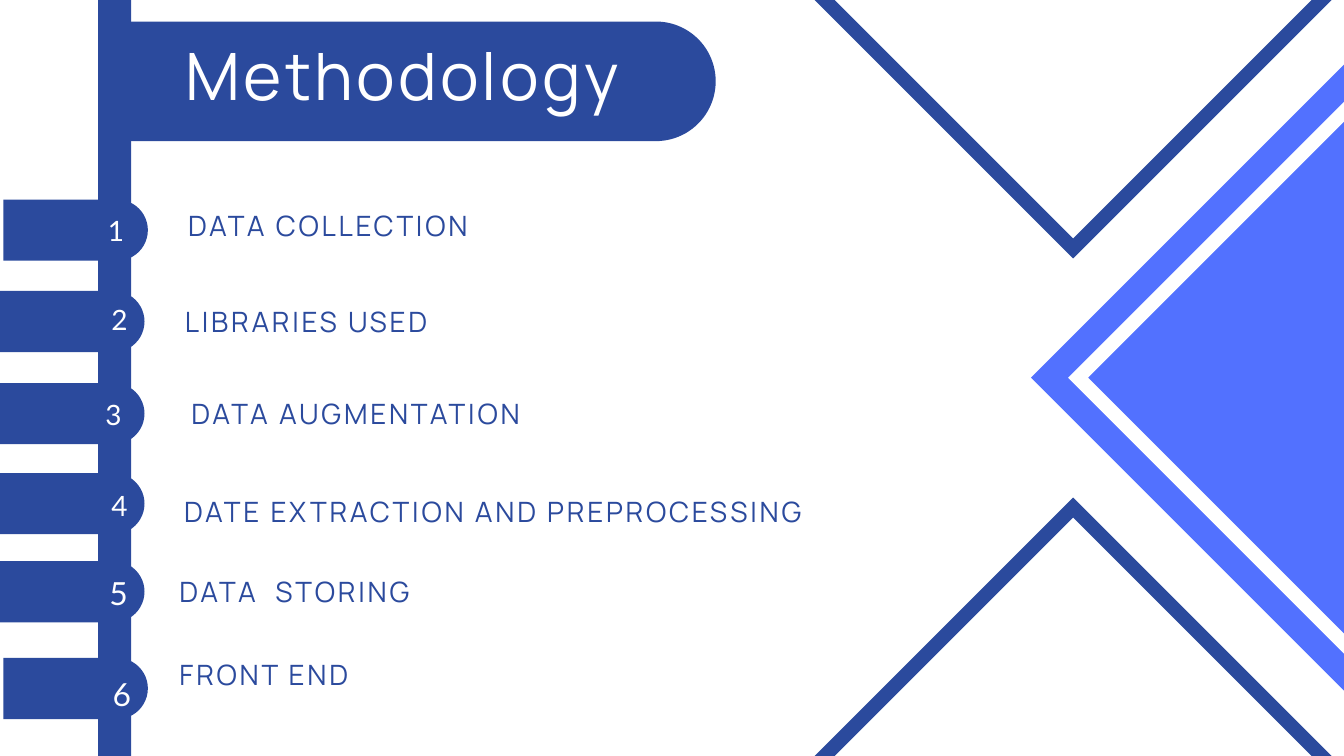
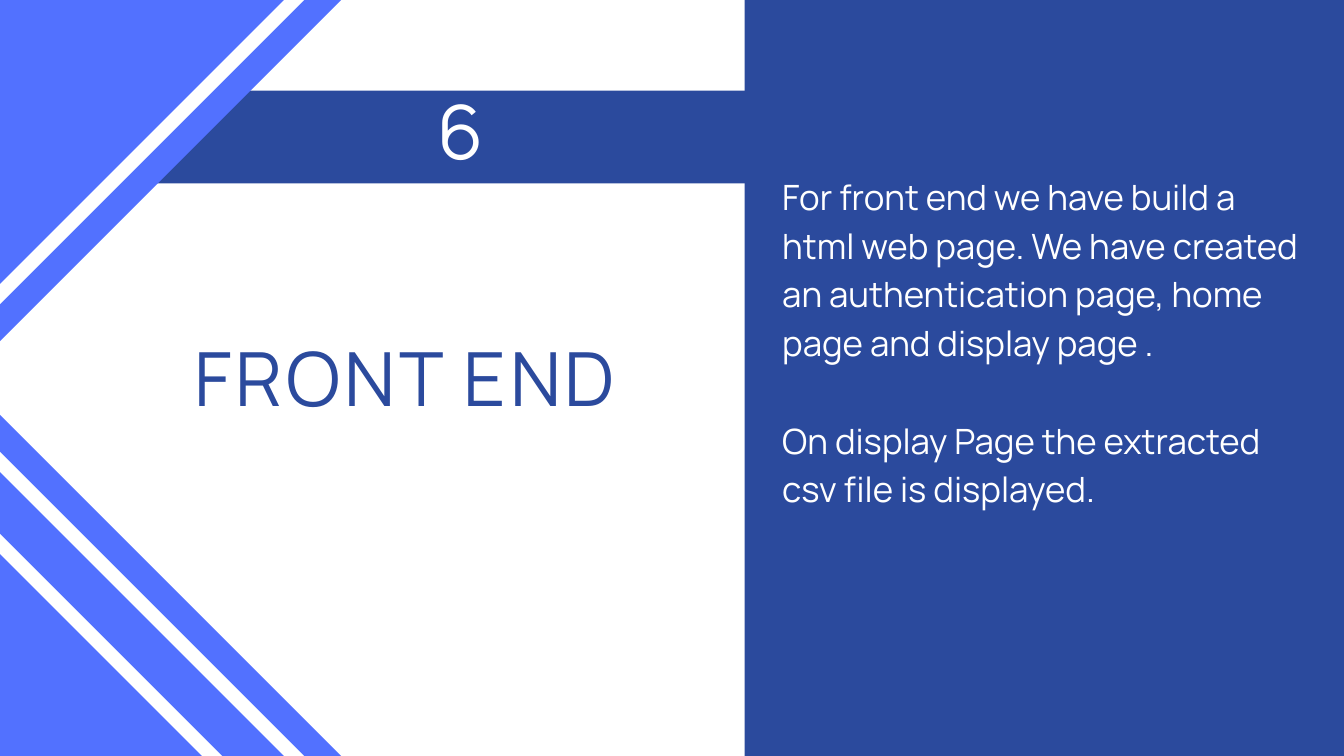
from pptx import Presentation
from pptx.dml.color import RGBColor
from pptx.enum.shapes import MSO_SHAPE
from pptx.enum.text import MSO_ANCHOR, MSO_AUTO_SIZE, PP_ALIGN
from pptx.util import Inches, Pt

NAVY = RGBColor(0x2B, 0x4A, 0x9D)
BLUE = RGBColor(0x52, 0x71, 0xFF)
WHITE = RGBColor(0xFF, 0xFF, 0xFF)
RECT, FRAME = MSO_SHAPE.RECTANGLE, MSO_SHAPE.FRAME
ROUND = MSO_SHAPE.ROUND_2_SAME_RECTANGLE
LEFT, CENTER = PP_ALIGN.LEFT, PP_ALIGN.CENTER
TOP, NO_FIT = MSO_ANCHOR.TOP, MSO_AUTO_SIZE.NONE
TITLE_ONLY = 5
BIG, SMALL = 7.18, 6.4  # sides of a blue diamond and of its white frame
BAND = 0.21             # thickness of every frame


def draw(slide, kind, x, y, w, h, fill, turn=0, adjust=()):
    """Add a plain shape; x, y, w, h are taken before it is turned."""
    shape = slide.shapes.add_shape(kind, Inches(x), Inches(y), Inches(w), Inches(h))
    shape.shadow.inherit = False
    shape.fill.solid()
    shape.fill.fore_color.rgb = fill
    shape.line.fill.background()
    shape.rotation = turn
    for i, value in enumerate(adjust):
        shape.adjustments[i] = value


def write(slide, text, x, y, w, h, size, color=WHITE, font="Manrope",
          align=LEFT, lead=1.4, track=0.1, title=False):
    """Set text; lead and track are shares of the size."""
    if title:
        box = slide.shapes.title
        slide.shapes._spTree.append(box._element)  # bring to front
        box.left, box.top, box.width, box.height = map(Inches, (x, y, w, h))
    else:
        box = slide.shapes.add_textbox(Inches(x), Inches(y), Inches(w), Inches(h))
    frame = box.text_frame
    frame.text = text
    frame.word_wrap = True
    frame.auto_size = NO_FIT
    frame.vertical_anchor = TOP
    frame.margin_left = frame.margin_right = 0
    frame.margin_top = frame.margin_bottom = 0
    for i, para in enumerate(frame.paragraphs):
        para.alignment = align
        para.line_spacing = Pt(round(size * lead, 1))
        para.space_before = Pt(round(size * lead, 1) if i else 0)
        run = para.runs[0].font
        run.name = font
        run.size = Pt(size)
        run.color.rgb = color
        run._rPr.set("spc", str(round(size * track * 100)))


prs = Presentation()
prs.slide_width, prs.slide_height = Inches(20), Inches(11.25)
layout = prs.slide_layouts[TITLE_ONLY]

# Slide 1: Methodology
slide = prs.slides.add_slide(layout)
draw(slide, RECT, 1.46, 0, 0.49, 11.25, NAVY)
draw(slide, RECT, 16.83, 2.03, BIG, BIG, BLUE, turn=45)
draw(slide, FRAME, 17.22, 2.42, SMALL, SMALL, WHITE, turn=45, adjust=[BAND / SMALL])
for y in (8.8, -4.29):
    draw(slide, FRAME, 12.6, y, 6.74, 6.74, NAVY, turn=45, adjust=[BAND / 6.74])
draw(slide, ROUND, 5.41, -3.14, 1.78, 8.7, NAVY, turn=90, adjust=[0.5, 0])
write(slide, "Methodology", 2.15, 0.67, 7.68, 1.11, 70,
      align=CENTER, lead=1.05, track=0.05, title=True)

# tab left and top, number left, top and size, label, its left, top and width
steps = [
    (0.67, 2.35, 1.46, 3.1, 30, "DATA COLLECTION", 2.8, 3.02, 9.63),
    (0.62, 3.71, 1.51, 4.42, 30, "LIBRARIES USED", 2.75, 4.45, 3.81),
    (0.62, 5.08, 1.42, 5.83, 30, "DATA AUGMENTATION", 2.85, 5.81, 5.1),
    (0.62, 6.42, 1.51, 7.18, 30, "DATE EXTRACTION AND PREPROCESSING", 2.74, 7.28, 9.6),
    (0.62, 7.73, 1.46, 8.45, 34.1, "DATA  STORING", 2.67, 8.46, 9.76),
    (0.67, 9.17, 1.51, 9.95, 34.1, "FRONT END", 2.67, 9.7, 9.76),
]
for num, (tab_x, tab_y, num_x, num_y, size, label, x, y, w) in enumerate(steps, 1):
    draw(slide, ROUND, tab_x, tab_y, 0.91, 2.15, NAVY, turn=90, adjust=[0.5, 0])
    write(slide, str(num), num_x, num_y, size / 56, size / 53, size,
          font="Lato", align=CENTER)
    write(slide, label, x, y, w, 0.59, 30, color=NAVY)

# Slide 2: Front end
slide = prs.slides.add_slide(layout)
draw(slide, RECT, 1.67, 1.35, 10.9, 1.38, NAVY)
for mid in (0, 11.25, 12.47):
    for kind, side, fill in ((RECT, BIG, BLUE), (FRAME, SMALL, WHITE)):
        draw(slide, kind, -side / 2, mid - side / 2, side, side, fill, turn=45,
             adjust=[BAND / side] if kind == FRAME else [])
draw(slide, RECT, 11.08, 0, 8.92, 11.25, NAVY)
write(slide, "FRONT END", 0.98, 5.11, 10.1, 1.3, 80, color=NAVY,
      align=CENTER, lead=1.05, track=0.05, title=True)
write(slide, "6", 5.47, 1.43, 2.77, 1.3, 80, align=CENTER, lead=1.05, track=0.05)
write(slide, "For front end we have build a html web page. We have created an "
      "authentication page, home page and display page .\n"
      "On display Page the extracted csv file is displayed.",
      11.64, 2.51, 7.8, 5.76, 37.3, track=0)

prs.save("out.pptx")
